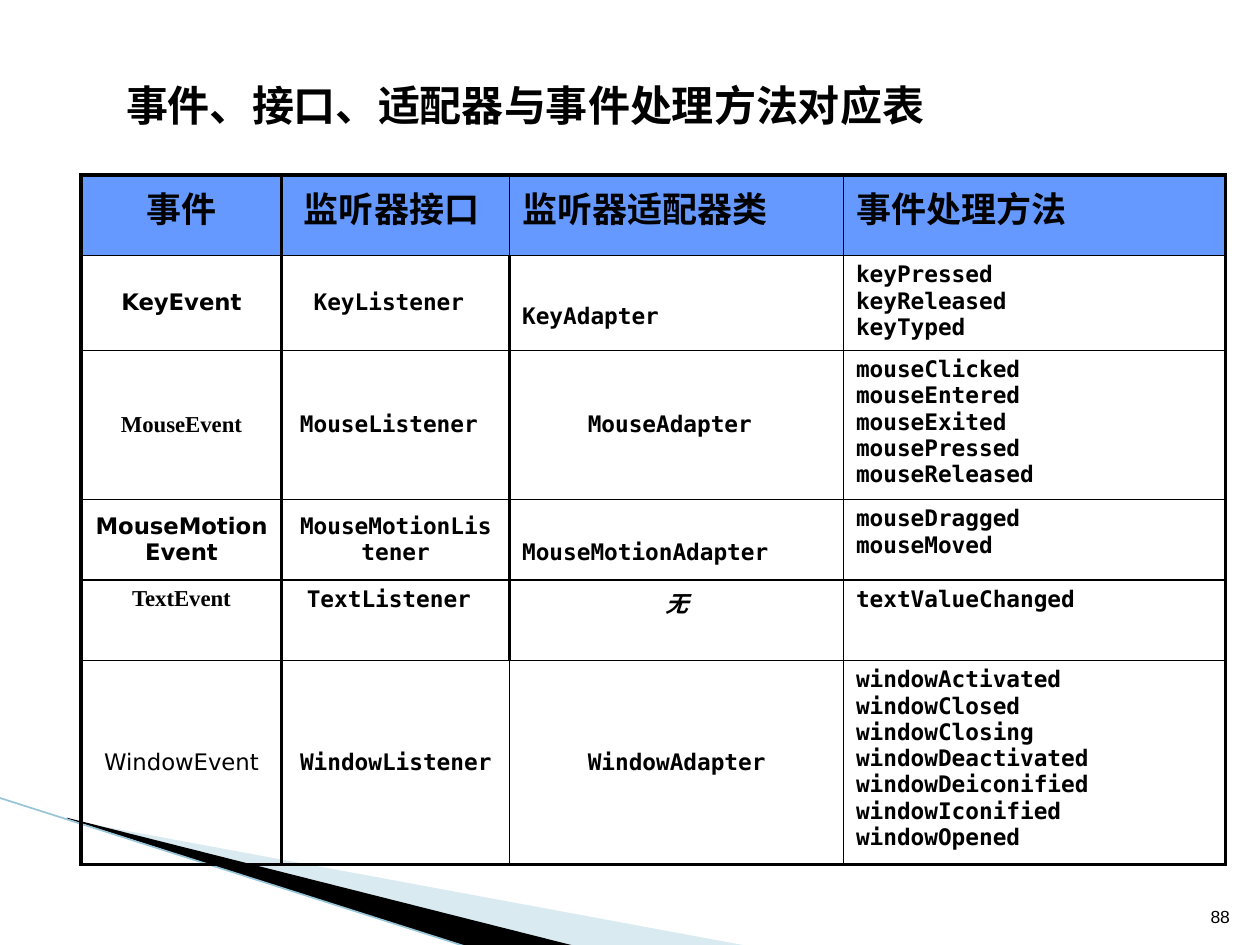
"""Build a slide with a table of events, listeners, adapters and methods."""
from lxml.etree import SubElement
from pptx import Presentation
from pptx.dml.color import RGBColor
from pptx.enum.shapes import MSO_CONNECTOR
from pptx.enum.text import MSO_ANCHOR, MSO_AUTO_SIZE, PP_ALIGN
from pptx.oxml.ns import qn
from pptx.util import Pt

HUES = {"ink": "000000", "head": "6699FF", "pale": "A0CBDC", "edge": "97C5D8"}
SANS, MONO, SERIF = "DejaVu Sans", "DejaVu Sans Mono", "Times New Roman"
LEFT, MID, RIGHT = PP_ALIGN.LEFT, PP_ALIGN.CENTER, PP_ALIGN.RIGHT
THIN, THICK = 1, 2.25
COLS = [114.5, 130.3, 190.8, 218.2]
ROWS = [46, 54, 85, 46, 46, 116.6]
HEADS = ["事件", "监听器接口 ", "监听器适配器类", "事件处理方法"]
BODY = [
    ("KeyEvent", "KeyListener ", "KeyAdapter",
     "keyPressed\nkeyReleased\nkeyTyped"),
    ("MouseEvent", "MouseListener ", "MouseAdapter ",
     "mouseClicked\nmouseEntered\nmouseExited\nmousePressed\nmouseReleased"),
    ("MouseMotionEvent", "MouseMotionListener", "MouseMotionAdapter",
     "mouseDragged\nmouseMoved"),
    ("TextEvent", "TextListener ", "无", "textValueChanged"),
    ("WindowEvent", "WindowListener ", "WindowAdapter",
     "windowActivated\nwindowClosed\nwindowClosing\nwindowDeactivated\n"
     "windowDeiconified\nwindowIconified\nwindowOpened"),
]


def tint(name):
    return RGBColor.from_string(HUES[name])


def write(frame, text, font=SERIF, size=13, bold=True, slant=False, align=LEFT):
    para = frame.paragraphs[0]
    para.text = text
    para.alignment = align
    for run in para.runs:
        run.font.name, run.font.size = font, Pt(size)
        run.font.bold, run.font.italic = bold, slant
        run.font.color.rgb = tint("ink")
    for gap in para._p.findall(qn("a:br")):
        SubElement(gap, qn("a:rPr"), sz=str(size * 100))


class Deck:
    def __init__(self):
        self.file = Presentation()
        self.file.slide_width, self.file.slide_height = Pt(720), Pt(540)
        self.slide = self.file.slides.add_slide(self.file.slide_layouts[5])
        self.shapes = self.slide.shapes

    def title(self, text, box):
        shape = self.shapes.title
        shape.left, shape.top, shape.width, shape.height = map(Pt, box)
        frame = shape.text_frame
        frame.word_wrap = True
        frame.auto_size = MSO_AUTO_SIZE.NONE
        frame.vertical_anchor = MSO_ANCHOR.TOP
        write(frame, text, size=24)

    def label(self, text, box, **style):
        frame = self.shapes.add_textbox(*map(Pt, box)).text_frame
        frame.word_wrap = True
        frame.vertical_anchor = MSO_ANCHOR.BOTTOM
        write(frame, text, **style)

    def wedge(self, dots, hue, alpha=100):
        dots = [(Pt(x), Pt(y)) for x, y in dots]
        pen = self.shapes.build_freeform(*dots[0])
        pen.add_line_segments(dots[1:])
        shape = pen.convert_to_shape()
        shape.shadow.inherit = False
        shape.line.fill.background()
        shape.fill.solid()
        shape.fill.fore_color.rgb = tint(hue)
        if alpha < 100:
            color = shape._element.spPr.find(".//" + qn("a:srgbClr"))
            SubElement(color, qn("a:alpha"), val=str(alpha * 1000))

    def line(self, start, end, hue, width):
        line = self.shapes.add_connector(
            MSO_CONNECTOR.STRAIGHT, *map(Pt, start + end))
        line.line.color.rgb = tint(hue)
        line.line.width = Pt(width)
        SubElement(line._element.spPr, qn("a:effectLst"))

    def grid(self, left, top):
        table = self.shapes.add_table(
            len(ROWS), len(COLS), Pt(left), Pt(top),
            Pt(sum(COLS)), Pt(sum(ROWS))).table
        table.first_row = table.horz_banding = False
        for col, width in zip(table.columns, COLS):
            col.width = Pt(width)
        for row, height in zip(table.rows, ROWS):
            row.height = Pt(height)
        for r, texts in enumerate([HEADS] + BODY):
            for c, text in enumerate(texts):
                self.cell(table.cell(r, c), r, c, text)

    def cell(self, cell, r, c, text):
        last = len(ROWS) - 1
        walls = [THICK, THICK, THICK if 0 < r < last else THIN, THIN, THICK]
        sides = {"L": walls[c], "R": walls[c + 1],
                 "T": THICK if r == 0 else THIN,
                 "B": THICK if r == last else THIN}
        for side, width in sides.items():
            edge = SubElement(cell._tc.get_or_add_tcPr(),
                              qn("a:ln" + side), w=str(Pt(width)))
            fill = SubElement(edge, qn("a:solidFill"))
            SubElement(fill, qn("a:srgbClr"), val=HUES["ink"])
        if r == 0:
            cell.fill.solid()
            cell.fill.fore_color.rgb = tint("head")
            write(cell.text_frame, text, size=20, align=MID if c < 2 else LEFT)
            return
        cell.fill.background()
        low = c == 2 and r in (1, 3)
        if low:
            cell.margin_top = Pt(18.7)
        if c < 3 and r != 4:
            cell.vertical_anchor = MSO_ANCHOR.MIDDLE
        none = text == "无"
        font = MONO
        if c == 0:
            font = SANS if r % 2 else SERIF
        elif none:
            font = SERIF
        write(cell.text_frame, text, font=font, slant=none,
              bold=(r, c) != (last, 0), align=LEFT if c == 3 or low else MID)

    def save(self):
        self.file.save("out.pptx")


def main():
    deck = Deck()
    deck.wedge([(39.6, 468.7), (428.4, 540.7), (328.3, 540.7), (39.6, 468)],
               "pale", alpha=40)
    deck.wedge([(38.2, 467.3), (329, 540.7), (267.8, 541.4), (38.9, 468)], "ink")
    deck.line((-0.7, 455.8), (267.8, 541.4), "edge", 0.95)
    deck.label("88", (681.1, 504.7, 28.8, 28.8),
               font="Arial", size=10, bold=False, align=RIGHT)
    deck.grid(46.4, 100.1)
    deck.title("事件、接口、适配器与事件处理方法对应表", (64.8, 41.8, 583.9, 36))
    deck.save()


if __name__ == "__main__":
    main()
